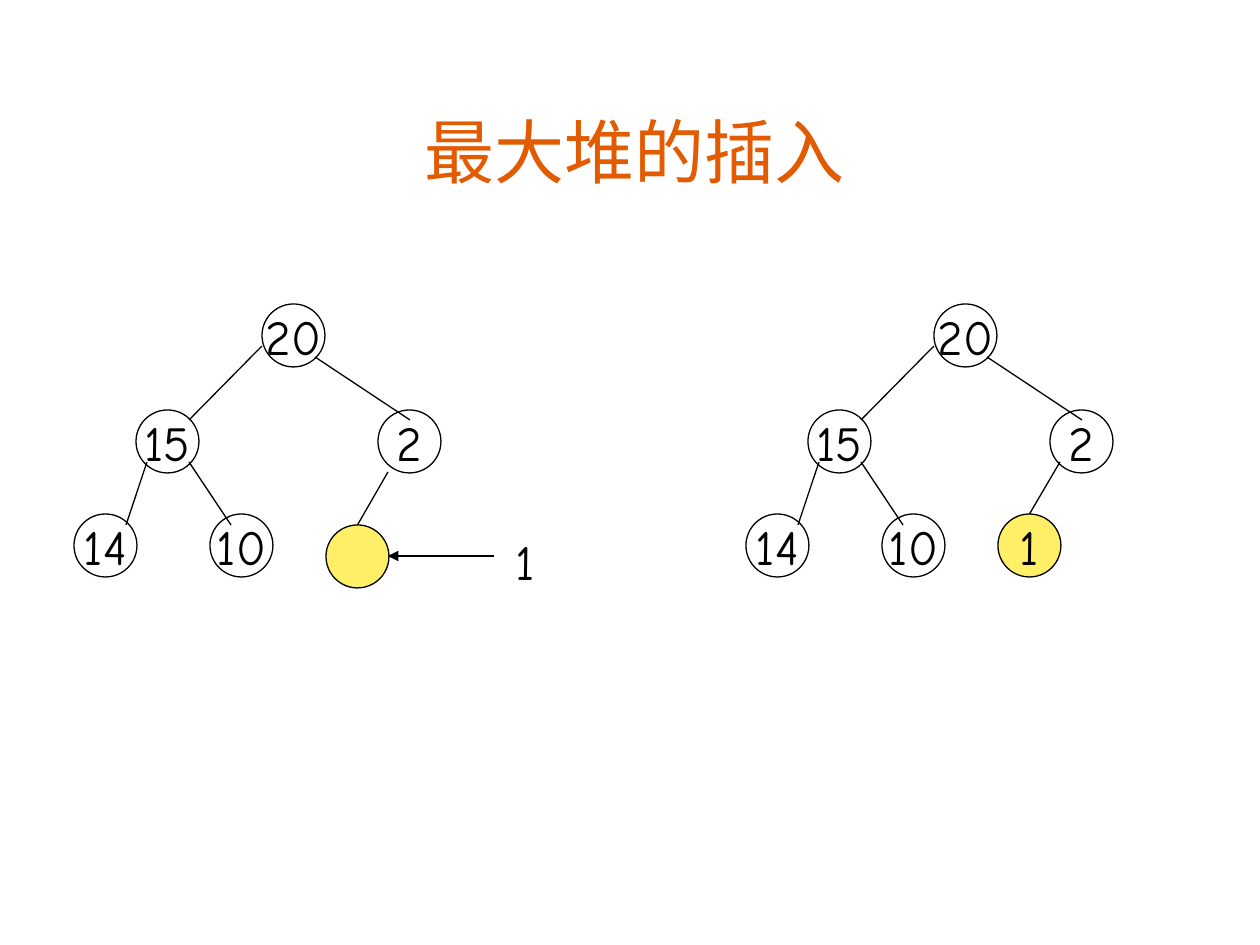
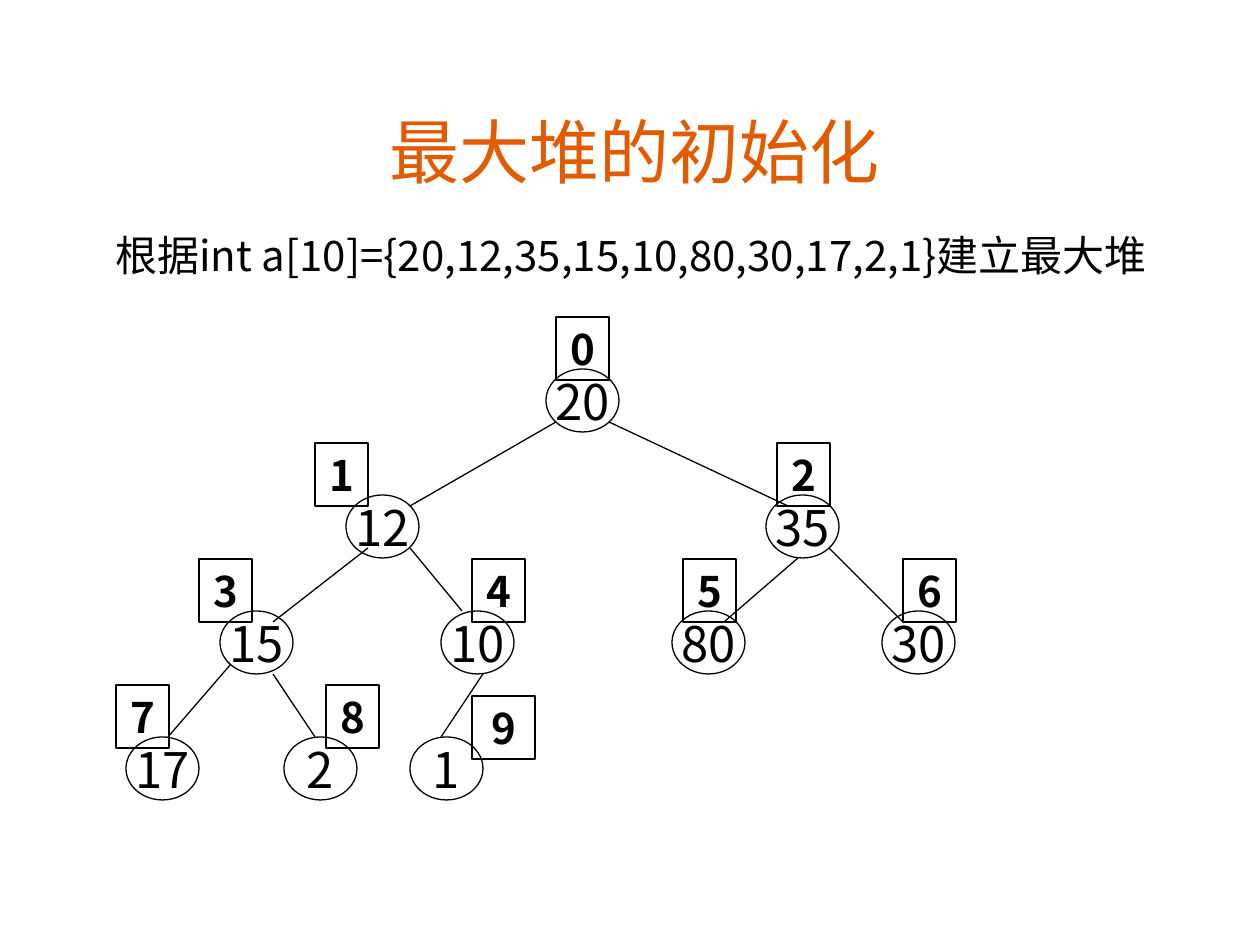
import pptx
import pptx.dml.color
import pptx.enum.shapes
import pptx.enum.text
import pptx.oxml.ns
import pptx.util
from lxml import etree

EMU_PER_PX = 914400 / 126
SLIDE_SIZE = (1260, 945)
COLORS = {"title": "E25B00", "ink": "000000", "new_node": "FFEF66"}
CJK_FONT = "Noto Sans CJK SC"
TITLE_BOX = (94, 94, 1081, 105)
TITLE_FORMAT = {"size": 40, "name": CJK_FONT, "color": "title"}
HEAP_FORMAT = {"size": 28, "name": "Comic Neue", "color": "ink"}
STATEMENT_FORMAT = {"size": 24, "name": CJK_FONT, "color": "ink"}
ARRAY_FORMAT = {"size": 28, "name": CJK_FONT, "color": "ink"}
INDEX_FORMAT = {"size": 24, "name": CJK_FONT, "color": "ink", "bold": True}

INSERT_TITLE = "最大堆的插入"
NODE_SIZE = 63
HEAP_NODES = [("20", 262, 304), ("15", 136, 410), ("14", 74, 514),
              ("10", 210, 514), ("2", 378, 410)]
HEAP_EDGES = [(262, 346, 189, 420), (147, 462, 126, 525),
              (189, 462, 231, 525), (315, 357, 410, 420)]
# Shift of the tree, then the new node's text, place and the start of its edge
INSERT_STEPS = [(0, "", (326, 525), (388, 472)),
                (672, "1", (326, 514), (388, 462))]
INSERT_ARROW = (494, 556, 388, 556)
INSERTED_VALUE = ("1", (494, 525, 63, 72))

BUILD_TITLE = "最大堆的初始化"
STATEMENT = ("根据int a[10]={20,12,35,15,10,80,30,17,2,1}建立最大堆", (15, 223, 1232, 63))
ARRAY = [20, 12, 35, 15, 10, 80, 30, 17, 2, 1]
ARRAY_LEFTS = [546, 346, 766, 220, 441, 672, 882, 126, 284, 410]
LEVEL_TOPS = [369, 495, 611, 737]
ARRAY_NODE_WIDTH = 73
ARRAY_EDGES = [(556, 422, 410, 506), (368, 548, 273, 622), (231, 664, 168, 737),
               (410, 548, 462, 611), (273, 674, 315, 737), (483, 674, 441, 737),
               (609, 422, 788, 506), (798, 558, 724, 622), (829, 548, 903, 622)]
INDEX_LEFTS = [556, 315, 777, 199, 472, 683, 903, 116, 326, 472]
INDEX_RISE = 52
INDEX_WIDTH = 53
LAST_INDEX_RISE = 41
LAST_INDEX_WIDTH = 63


def emu(*lengths):
    return [pptx.util.Emu(round(length * EMU_PER_PX)) for length in lengths]


def rgb(name):
    return pptx.dml.color.RGBColor.from_string(COLORS[name])


def write(shape, text, text_format, anchor, wrap=True):
    frame = shape.text_frame
    frame.word_wrap = wrap
    frame.auto_size = pptx.enum.text.MSO_AUTO_SIZE.NONE
    frame.vertical_anchor = anchor
    paragraph = frame.paragraphs[0]
    paragraph.alignment = pptx.enum.text.PP_ALIGN.CENTER
    run = paragraph.add_run()
    run.text = text
    values = dict(text_format, size=pptx.util.Pt(text_format["size"]))
    run.font.color.rgb = rgb(values.pop("color"))
    for name, value in values.items():
        setattr(run.font, name, value)
    # East Asian characters take their typeface from a separate element
    east_asian = etree.SubElement(run.font._element, pptx.oxml.ns.qn("a:ea"))
    east_asian.set("typeface", text_format["name"])


def add_titled_slide(presentation, title):
    slide = presentation.slides.add_slide(presentation.slide_layouts[5])
    placeholder = slide.shapes.title
    for name, value in zip(("left", "top", "width", "height"), emu(*TITLE_BOX)):
        setattr(placeholder, name, value)
    write(placeholder, title, TITLE_FORMAT, pptx.enum.text.MSO_ANCHOR.BOTTOM)
    return slide


def add_outlined(slide, kind, box, fill=None):
    shape = slide.shapes.add_shape(kind, *emu(*box))
    shape.shadow.inherit = False
    if fill:
        shape.fill.solid()
        shape.fill.fore_color.rgb = rgb(fill)
    else:
        shape.fill.background()
    shape.line.color.rgb = rgb("ink")
    shape.line.width = pptx.util.Pt(0.75)
    return shape


def add_node(slide, text, box, text_format, fill=None):
    kind = pptx.enum.shapes.MSO_SHAPE.FLOWCHART_CONNECTOR
    node = add_outlined(slide, kind, box, fill)
    if text:
        write(node, text, text_format, pptx.enum.text.MSO_ANCHOR.MIDDLE, wrap=False)
    return node


def add_index(slide, text, box):
    tag = add_outlined(slide, pptx.enum.shapes.MSO_SHAPE.RECTANGLE, box)
    write(tag, text, INDEX_FORMAT, pptx.enum.text.MSO_ANCHOR.TOP)


def add_text(slide, text, box, text_format):
    shape = slide.shapes.add_textbox(*emu(*box))
    write(shape, text, text_format, pptx.enum.text.MSO_ANCHOR.TOP)


def add_edge(slide, ends, arrow=False):
    edge = slide.shapes.add_connector(
        pptx.enum.shapes.MSO_CONNECTOR.STRAIGHT, *emu(*ends))
    edge.line.color.rgb = rgb("ink")
    edge.line.width = pptx.util.Pt(0.75)
    if arrow:
        tail = etree.SubElement(edge.line._get_or_add_ln(), pptx.oxml.ns.qn("a:tailEnd"))
        tail.set("type", "triangle")
    etree.SubElement(edge._element.spPr, pptx.oxml.ns.qn("a:effectLst"))
    return edge


def build_insert_slide(presentation):
    slide = add_titled_slide(presentation, INSERT_TITLE)
    for shift, new_text, (new_left, new_top), (start_x, start_y) in INSERT_STEPS:
        for text, left, top in HEAP_NODES:
            add_node(slide, text, (left + shift, top, NODE_SIZE, NODE_SIZE), HEAP_FORMAT)
        for x1, y1, x2, y2 in HEAP_EDGES:
            add_edge(slide, (x1 + shift, y1, x2 + shift, y2))
        new_node = add_node(slide, new_text,
                            (new_left + shift, new_top, NODE_SIZE, NODE_SIZE),
                            HEAP_FORMAT, "new_node")
        new_edge = add_edge(slide, (start_x + shift, start_y,
                                    new_left + shift + NODE_SIZE / 2, new_top))
        new_edge.end_connect(new_node, 0)
    add_text(slide, *INSERTED_VALUE, HEAP_FORMAT)
    add_edge(slide, INSERT_ARROW, arrow=True)


def build_array_slide(presentation):
    slide = add_titled_slide(presentation, BUILD_TITLE)
    add_text(slide, *STATEMENT, STATEMENT_FORMAT)
    # Heap level of an index: 0, 1-2, 3-6, 7-14
    tops = [LEVEL_TOPS[(index + 1).bit_length() - 1] for index in range(len(ARRAY))]
    for value, left, top in zip(ARRAY, ARRAY_LEFTS, tops):
        add_node(slide, str(value), (left, top, ARRAY_NODE_WIDTH, NODE_SIZE), ARRAY_FORMAT)
    for ends in ARRAY_EDGES:
        add_edge(slide, ends)
    for index, (left, top) in enumerate(zip(INDEX_LEFTS, tops)):
        is_last = index == len(ARRAY) - 1
        rise = LAST_INDEX_RISE if is_last else INDEX_RISE
        width = LAST_INDEX_WIDTH if is_last else INDEX_WIDTH
        add_index(slide, str(index), (left, top - rise, width, NODE_SIZE))


def main():
    presentation = pptx.Presentation()
    presentation.slide_width, presentation.slide_height = emu(*SLIDE_SIZE)
    build_insert_slide(presentation)
    build_array_slide(presentation)
    presentation.save("out.pptx")


if __name__ == "__main__":
    main()
